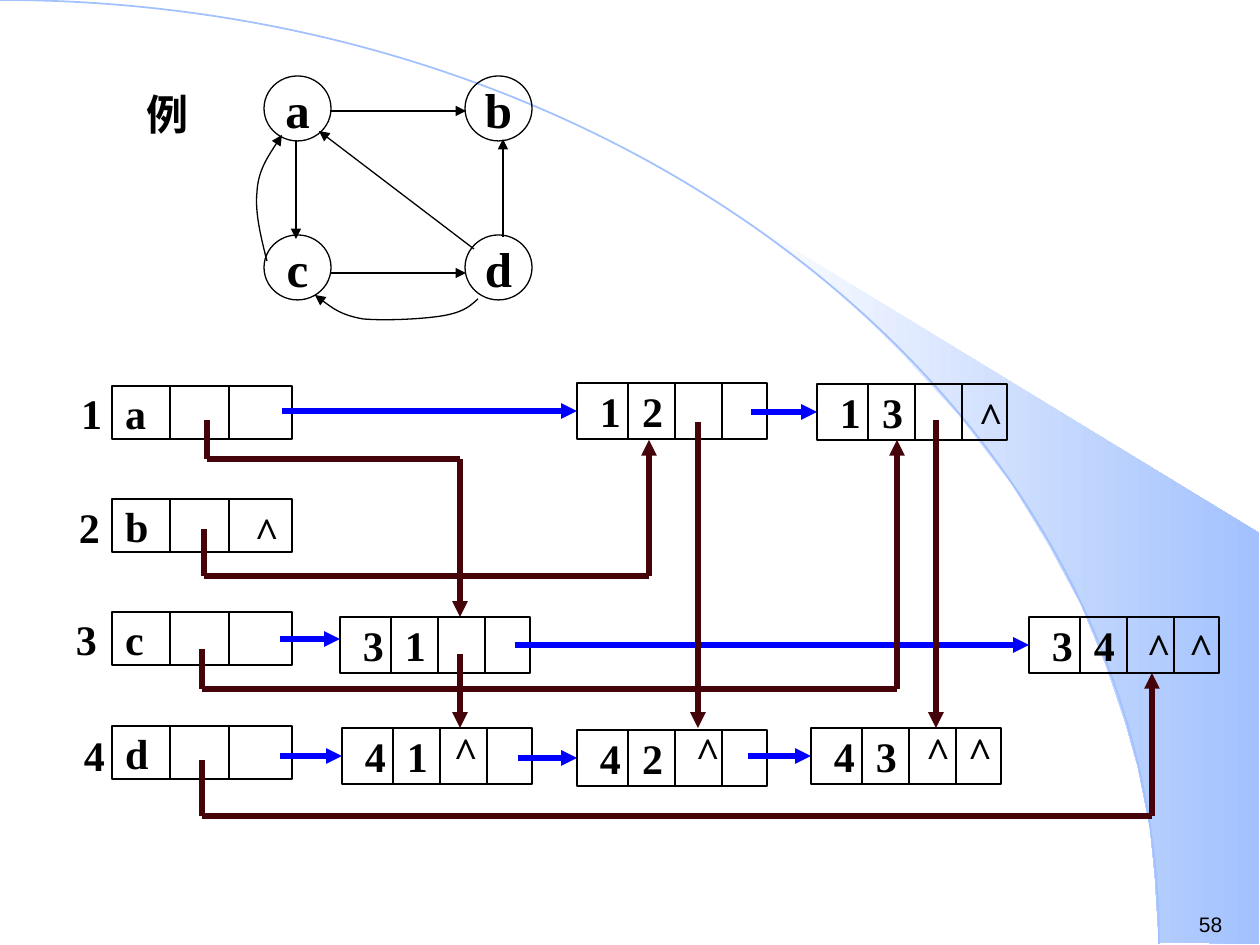
from dataclasses import dataclass
from itertools import pairwise

from lxml import etree
from pptx import Presentation
from pptx.dml.color import RGBColor
from pptx.enum.shapes import MSO_CONNECTOR, MSO_SHAPE
from pptx.enum.text import MSO_ANCHOR, PP_ALIGN
from pptx.oxml.ns import qn
from pptx.util import Pt

STRAIGHT = MSO_CONNECTOR.STRAIGHT
OVAL, RECT = MSO_SHAPE.OVAL, MSO_SHAPE.RECTANGLE
MIDDLE = MSO_ANCHOR.MIDDLE
LEFT, CENTER = PP_ALIGN.LEFT, PP_ALIGN.CENTER
LEFT_SIDE = 1
PX = 914400 / 126


@dataclass(frozen=True)
class Theme:
    ink: str = "000000"
    row_link: str = "0000FF"
    column_link: str = "440409"
    pale: str = "FFFFFF"
    sky: str = "A2C1FE"
    serif: str = "Times New Roman"
    sans: str = "Arial"
    vertex_size: int = 28
    body_size: int = 24
    page_size: int = 12
    thin: float = 0.75
    arc_line: float = 1
    thick: float = 3


THEME = Theme()

SWEEP = [(1159, 942), (1259, 944), (1259, 533), (742, 218), (786, 251),
         (823, 280), (863, 315), (902, 353), (960, 416), (1012, 484),
         (1048, 543), (1081, 604), (1106, 665), (1125, 721), (1138, 767),
         (1150, 827), (1155, 877), (1159, 942)]
HORIZON = [(0, 0), (640, 0), (1159, 422), (1159, 944)]

VERTEX_SIZE = (67, 65)
VERTICES = {"b": (465, 76), "d": (465, 235), "a": (264, 76), "c": (264, 235)}
EDGES = [[(330, 111), (466, 111)], [(330, 273), (466, 273)],
         [(296, 141), (296, 239)], [(474, 249), (319, 131)],
         [(503, 237), (503, 139)]]
CURVED_EDGES = [
    [(478, 299), (471, 305), (466, 311), (447, 315), (428, 319), (386, 321),
     (363, 319), (341, 315), (328, 305), (315, 295)],
    [(267, 261), (261, 237), (255, 213), (257, 193), (258, 171), (271, 152),
     (282, 135)],
]

HEAD_SIZE, HEAD_DIVIDERS = (180, 53), (58, 117)
HEAD_X = 112
HEADS = [("1", "a", 386, (68, 381)), ("2", "b", 499, (66, 495)),
         ("3", "c", 612, (63, 607)), ("4", "d", 726, (71, 723))]

ARC_SIZE, ARC_DIVIDERS = (190, 56), (51, 98, 145)
ARC_TEXT_INSET, ARC_TAB = 23, 42
ARCS = {("1", "3"): (817, 384), ("1", "2"): (577, 383),
        ("3", "4"): (1029, 617), ("3", "1"): (340, 617),
        ("4", "3"): (811, 728), ("4", "2"): (577, 730),
        ("4", "1"): (342, 728)}

JOINED_ROW_LINKS = [(282, ("1", "2")), (751, ("1", "3")), (515, ("3", "4")),
                    (280, ("4", "1")), (518, ("4", "2")), (748, ("4", "3"))]
FREE_ROW_LINK = [(280, 639), (340, 639)]
COLUMN_LINKS = [
    [(207, 420), (207, 459), (460, 459), (460, 617)],
    [(204, 529), (204, 576), (649, 576), (649, 440)],
    [(202, 649), (202, 689), (897, 689), (897, 440)],
    [(202, 760), (202, 816), (1152, 816), (1152, 673)],
    [(460, 654), (460, 728)],
    [(698, 422), (698, 728)],
    [(936, 420), (936, 728)],
]
NULL_MARKS = [(966, 384), (242, 499), (1176, 615), (955, 719), (441, 719),
              (683, 719), (913, 719), (1134, 615)]


def emu(*lengths):
    return [round(length * PX) for length in lengths]


def rgb(value):
    return RGBColor.from_string(value)


def style_line(shape, color, width, arrow=False):
    shape.line.color.rgb = rgb(color)
    shape.line.width = Pt(width)
    if arrow:
        etree.SubElement(shape.line._get_or_add_ln(), qn("a:tailEnd"), type="triangle")


def write(shape, text, size, align=CENTER, inset=0, font=THEME.serif, bold=True, tab=None):
    frame = shape.text_frame
    frame.word_wrap = True
    frame.vertical_anchor = MIDDLE
    frame.margin_left = emu(inset)[0]
    frame.margin_right = frame.margin_top = frame.margin_bottom = 0
    paragraph = frame.paragraphs[0]
    paragraph.alignment = align
    if tab:
        stops = etree.SubElement(paragraph._p.get_or_add_pPr(), qn("a:tabLst"))
        etree.SubElement(stops, qn("a:tab"), pos=str(emu(tab)[0]), algn="l")
    run = paragraph.add_run()
    run.text = text
    run.font.name, run.font.size, run.font.bold = font, Pt(size), bold
    run.font.color.rgb = rgb(THEME.ink)


def add_label(shapes, text, x, y, w, h, size=THEME.body_size, **options):
    write(shapes.add_textbox(*emu(x, y, w, h)), text, size, **options)


def add_outline(shapes, kind, position, size):
    shape = shapes.add_shape(kind, *emu(*position, *size))
    shape.shadow.inherit = False
    shape.fill.background()
    style_line(shape, THEME.ink, THEME.thin)
    return shape


def add_line(shapes, start, end, color=THEME.ink, width=THEME.thin, arrow=False):
    line = shapes.add_connector(STRAIGHT, *emu(*start, *end))
    style_line(line, color, width, arrow)
    etree.SubElement(line._element.spPr, qn("a:effectLst"))
    return line


def add_record(shapes, position, size, dividers):
    x, y = position
    record = add_outline(shapes, RECT, position, size)
    for offset in dividers:
        add_line(shapes, (x + offset, y), (x + offset, y + size[1]))
    return record


def add_freeform(shapes, points):
    start, *rest = [emu(*point) for point in points]
    builder = shapes.build_freeform(*start, scale=1.0)
    builder.add_line_segments(rest, close=False)
    shape = builder.convert_to_shape()
    shape.shadow.inherit = False
    return shape


def add_curve(shapes, controls, color, width, arrow=False):
    curve = add_freeform(shapes, controls)
    outline = next(curve._element.iter(qn("a:path")))
    segments = outline.findall(qn("a:lnTo"))
    for i in range(0, len(segments), 3):
        bezier = etree.SubElement(outline, qn("a:cubicBezTo"))
        for segment in segments[i:i + 3]:
            bezier.append(segment[0])
            outline.remove(segment)
    curve.fill.background()
    style_line(curve, color, width, arrow)


def add_backdrop(shapes):
    sweep = add_freeform(shapes, SWEEP)
    sweep.line.fill.background()
    sweep.fill.gradient()
    sweep.fill.gradient_angle = 0
    for stop, color in zip(sweep.fill.gradient_stops, (THEME.pale, THEME.sky)):
        stop.color.rgb = rgb(color)
    add_curve(shapes, HORIZON, THEME.sky, THEME.arc_line)
    add_label(shapes, "58", 1186, 905, 74, 38, THEME.page_size,
              align=LEFT, inset=13, font=THEME.sans, bold=False)


def add_graph(shapes):
    add_label(shapes, "例", 134, 82, 68, 63)
    for name, position in VERTICES.items():
        write(add_outline(shapes, OVAL, position, VERTEX_SIZE), name, THEME.vertex_size)
    for start, end in EDGES:
        add_line(shapes, start, end, arrow=True)
    for controls in CURVED_EDGES:
        add_curve(shapes, controls, THEME.ink, THEME.thin, arrow=True)


def add_row_link(shapes, start, end):
    return add_line(shapes, start, end, THEME.row_link, THEME.thick, arrow=True)


def add_orthogonal_list(shapes):
    for number, name, y, label_position in HEADS:
        head = add_record(shapes, (HEAD_X, y), HEAD_SIZE, HEAD_DIVIDERS)
        write(head, name, THEME.body_size, align=LEFT, inset=13)
        add_label(shapes, number, *label_position, 47, 63)
    records = {}
    for arc, position in ARCS.items():
        records[arc] = add_record(shapes, position, ARC_SIZE, ARC_DIVIDERS)
        write(records[arc], "\t".join(arc), THEME.body_size, align=LEFT,
              inset=ARC_TEXT_INSET, tab=ARC_TAB)
    add_row_link(shapes, *FREE_ROW_LINK)
    for start_x, arc in JOINED_ROW_LINKS:
        x, y = ARCS[arc]
        middle = y + ARC_SIZE[1] / 2
        link = add_row_link(shapes, (start_x, middle), (x, middle))
        link.end_connect(records[arc], LEFT_SIDE)
    for route in COLUMN_LINKS:
        for start, end in pairwise(route):
            add_line(shapes, start, end, THEME.column_link, THEME.thick, arrow=end == route[-1])
    for x, y in NULL_MARKS:
        add_label(shapes, "^", x, y, 50, 63)


def main():
    deck = Presentation()
    deck.slide_width, deck.slide_height = emu(1260, 945)
    shapes = deck.slides.add_slide(deck.slide_layouts[6]).shapes
    add_backdrop(shapes)
    add_graph(shapes)
    add_orthogonal_list(shapes)
    deck.save("out.pptx")


if __name__ == "__main__":
    main()
